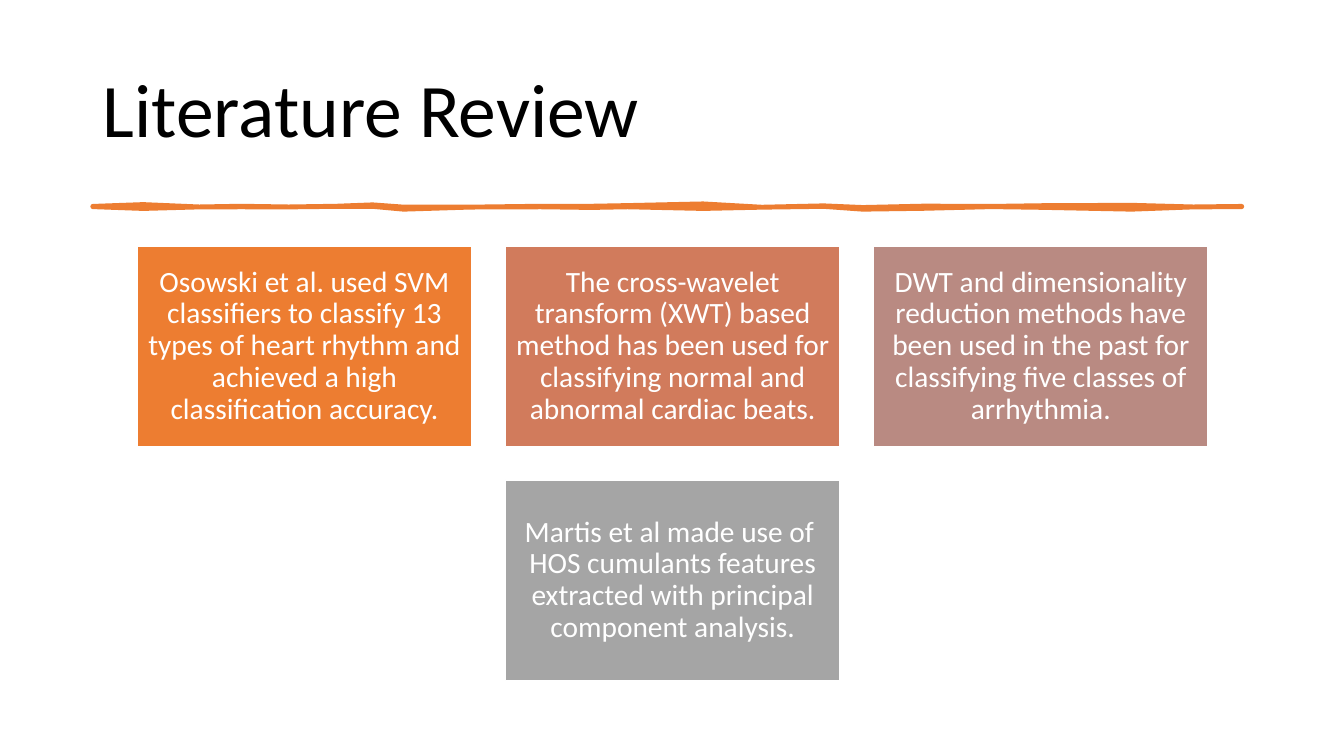
from dataclasses import dataclass
from pptx import Presentation
from pptx.dml.color import RGBColor
from pptx.enum.shapes import MSO_SHAPE as Shape
from pptx.enum.text import MSO_ANCHOR as Anchor, MSO_AUTO_SIZE as AutoSize, PP_ALIGN as Align
from pptx.util import Pt


@dataclass(frozen=True)
class Theme:
    """Colours, font and type sizes of the slide."""
    font: str = "Calibri"
    title_size: float = 54
    card_size: float = 21
    ink: str = "000000"
    paper: str = "FFFFFF"
    accent: str = "ED7D31"
    cards: tuple = ("ED7D31", "D17B5C", "B98A82", "A5A5A5")


@dataclass(frozen=True)
class Box:
    """A rectangle in points."""
    left: float
    top: float
    width: float
    height: float

    def place(self):
        """Return the rectangle as lengths."""
        return Pt(self.left), Pt(self.top), Pt(self.width), Pt(self.height)


THEME = Theme()
FINDINGS = (
    ("Osowski et al. used SVM classifiers to classify 13 types of heart rhythm "
     "and achieved a high classification accuracy."),
    ("The cross-wavelet transform (XWT) based method has been used for "
     "classifying normal and abnormal cardiac beats."),
    ("DWT and dimensionality reduction methods have been used in the past for "
     "classifying five classes of arrhythmia."),
    ("Martis et al made use of  HOS cumulants features extracted with principal "
     "component analysis."),
)
STROKE_EDGES = (
    (0, -0.2, 0.2), (36, -1.5, 1.5), (76, 0.2, 0.4), (106, -0.3, 0.3),
    (140, 0.2, 0.4), (174, -0.3, 0), (200, -1.3, 0), (222, 0.3, 2),
    (270, 0.3, 0.5), (320, -0.3, 0.3), (356, -0.3, 0.8), (382, -0.8, 0.3),
    (436, -2, 1.5), (478, 0.4, 0.6), (522, -0.6, 0), (550, 0.6, 2),
    (594, -0.4, 1.4), (642, -0.2, 0.2), (678, -0.7, 0.7), (742, -1, 2),
    (786, 0.2, 0.4), (820.8, -0.2, 0.2),
)


def colour(part, value):
    """Give a fill or line format one solid colour."""
    fill = part.fill if hasattr(part, "fill") else part
    fill.solid()
    fill.fore_color.rgb = RGBColor.from_string(value)


def write(shape, words, size, ink, align=Align.LEFT, margin=7.2):
    """Set a shape's text and its format."""
    frame = shape.text_frame
    frame.text = words
    frame.word_wrap = True
    frame.auto_size = AutoSize.NONE
    frame.vertical_anchor = Anchor.MIDDLE
    frame.margin_left = frame.margin_right = Pt(margin)
    paragraph = frame.paragraphs[0]
    paragraph.alignment = align
    paragraph.line_spacing = 0.9
    font = paragraph.runs[0].font
    font.name, font.size = THEME.font, Pt(size)
    font.color.rgb = RGBColor.from_string(ink)


def add_heading(slide, box, words):
    """Place the title in its box."""
    heading = slide.shapes.title
    heading.left, heading.top, heading.width, heading.height = box.place()
    write(heading, words, THEME.title_size, THEME.ink)


def add_brush_stroke(slide, box):
    """Draw the uneven rule along the middle of its box."""
    middle = box.top + box.height / 2
    upper = [(x, top) for x, top, _ in STROKE_EDGES]
    lower = [(x, bottom) for x, _, bottom in reversed(STROKE_EDGES)]
    outline = [(Pt(box.left + x), Pt(middle + y)) for x, y in upper + lower]
    builder = slide.shapes.build_freeform(*outline[0])
    builder.add_line_segments(outline[1:], close=True)
    stroke = builder.convert_to_shape()
    stroke.shadow.inherit = False
    colour(stroke.fill, THEME.accent)
    colour(stroke.line, THEME.accent)
    stroke.line.width = Pt(3.25)


def add_card(slide, box, words, tint):
    """Draw one finding in its coloured card."""
    card = slide.shapes.add_shape(Shape.RECTANGLE, *box.place())
    card.shadow.inherit = False
    colour(card.fill, tint)
    colour(card.line, THEME.paper)
    card.line.width = Pt(1)
    write(card, words, THEME.card_size, THEME.paper, align=Align.CENTER, margin=6.3)


def add_findings(slide, box, findings, columns=3, gap=24):
    """Lay the findings out in rows, each centred in the box."""
    width = (box.width - gap * (columns - 1)) / columns
    rows = -(-len(findings) // columns)
    height = (box.height - gap * (rows - 1)) / rows
    for index, words in enumerate(findings):
        row, column = divmod(index, columns)
        count = min(columns, len(findings) - row * columns)
        indent = (columns - count) * (width + gap) / 2
        cell = Box(box.left + indent + column * (width + gap),
                   box.top + row * (height + gap), width, height)
        add_card(slide, cell, words, THEME.cards[index])


def main():
    """Build the slide and save it."""
    deck = Presentation()
    deck.slide_width, deck.slide_height = Pt(960), Pt(540)
    slide = deck.slides.add_slide(deck.slide_layouts[5])
    add_heading(slide, Box(66.24, 28.8, 828, 104.4), "Literature Review")
    add_brush_stroke(slide, Box(66.24, 146.8, 820.8, 1.44))
    add_findings(slide, Box(98, 175.7, 765, 310.3), FINDINGS)
    deck.save("out.pptx")


if __name__ == "__main__":
    main()
